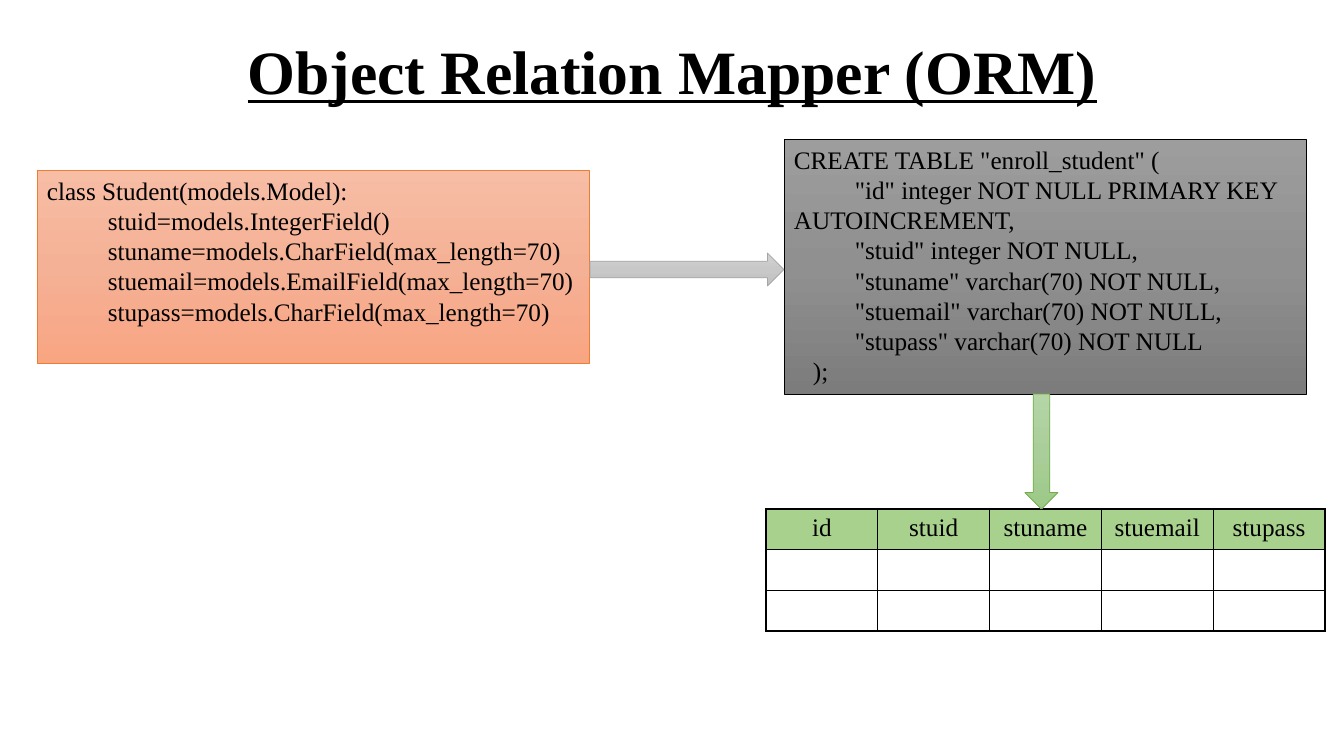
from copy import deepcopy

from lxml.etree import SubElement
from pptx import Presentation
from pptx.dml.color import RGBColor
from pptx.enum.shapes import MSO_SHAPE
from pptx.enum.text import MSO_ANCHOR, PP_ALIGN
from pptx.oxml.ns import qn
from pptx.util import Emu, Pt

EMU_PER_PIXEL = 914400 / 100.8
FONT = "Times New Roman"
BLACK = "000000"
HEADER_GREEN = "A9D18E"
CODE_INDENT = 61
CLOSING_INDENT = 19


def px(pixels):
    return Emu(round(pixels * EMU_PER_PIXEL))


def color(hex_string):
    return RGBColor.from_string(hex_string)


def add_text(paragraph, text, size=18, bold=None, underline=None):
    run = paragraph.add_run()
    run.text = text
    run.font.name = FONT
    run.font.size = Pt(size)
    run.font.bold = bold
    run.font.underline = underline
    run.font.color.rgb = color(BLACK)


def add_gradient_shape(slide, preset, box, gradient, line_color):
    shape = slide.shapes.add_shape(preset, *map(px, box))
    shape.shadow.inherit = False
    shape.line.color.rgb = color(line_color)
    shape.line.width = Pt(0.5)
    # The default gradient has two stops; a third goes between them
    shape.fill.gradient()
    shape.fill.gradient_angle = 270
    first_stop = next(shape._element.spPr.iter(qn("a:gs")))
    first_stop.addnext(deepcopy(first_stop))
    stops = shape.fill.gradient_stops
    for stop, position, stop_color in zip(stops, (0, 0.5, 1), gradient):
        stop.position = position
        stop.color.rgb = color(stop_color)
    return shape


def add_title(slide, box):
    title = slide.shapes.title
    title.left, title.top, title.width, title.height = map(px, box)
    frame = title.text_frame
    frame.vertical_anchor = MSO_ANCHOR.MIDDLE
    paragraph = frame.paragraphs[0]
    paragraph.alignment = PP_ALIGN.CENTER
    paragraph.line_spacing = 0.9
    add_text(paragraph, "Object Relation Mapper (ORM)", 44, True, True)


def add_code_box(slide, box, lines, gradient, line_color):
    """Each line is a pair: first-line indent in pixels, text."""
    shape = add_gradient_shape(slide, MSO_SHAPE.RECTANGLE, box, gradient, line_color)
    frame = shape.text_frame
    frame.word_wrap = True
    frame.vertical_anchor = MSO_ANCHOR.TOP
    for number, (indent, text) in enumerate(lines):
        paragraph = frame.paragraphs[0] if number == 0 else frame.add_paragraph()
        paragraph.alignment = PP_ALIGN.LEFT
        properties = paragraph._p.get_or_add_pPr()
        properties.set("marL", "0")
        properties.set("indent", str(px(indent)))
        add_text(paragraph, text)


def add_cell_borders(cell):
    properties = cell._tc.get_or_add_tcPr()
    for index, side in enumerate(("lnL", "lnR", "lnT", "lnB")):
        line = SubElement(properties, qn(f"a:{side}"), w=str(Pt(1)))
        fill = SubElement(line, qn("a:solidFill"))
        SubElement(fill, qn("a:srgbClr"), val=BLACK)
        properties.insert(index, line)


def add_student_table(slide, box, headers, row_count):
    left, top, width, height = box
    table = slide.shapes.add_table(row_count, len(headers), *map(px, box)).table
    for column in table.columns:
        column.width = px(width / len(headers))
    for row in table.rows:
        row.height = px(height / row_count)
    for cell in table.iter_cells():
        cell.fill.background()
        add_cell_borders(cell)
    for cell, header in zip(table.rows[0].cells, headers):
        cell.fill.solid()
        cell.fill.fore_color.rgb = color(HEADER_GREEN)
        paragraph = cell.text_frame.paragraphs[0]
        paragraph.alignment = PP_ALIGN.CENTER
        add_text(paragraph, header)


def build_orm_slide(presentation):
    slide = presentation.slides.add_slide(presentation.slide_layouts[5])
    add_title(slide, (93, 2, 1159, 146))

    # Model class
    fields = (
        "stuid=models.IntegerField()",
        "stuname=models.CharField(max_length=70)",
        "stuemail=models.EmailField(max_length=70)",
        "stupass=models.CharField(max_length=70)",
    )
    model_lines = [(0, "class Student(models.Model):")]
    model_lines += [(CODE_INDENT, field) for field in fields]
    add_code_box(slide, (37, 170, 552, 193), model_lines,
                 ("F7BDA5", "F5B196", "F8A582"), "ED7D31")

    # SQL statement
    columns = (
        '"id" integer NOT NULL PRIMARY KEY AUTOINCREMENT,',
        '"stuid" integer NOT NULL,',
        '"stuname" varchar(70) NOT NULL,',
        '"stuemail" varchar(70) NOT NULL,',
        '"stupass" varchar(70) NOT NULL',
    )
    sql_lines = [(0, 'CREATE TABLE "enroll_student" (')]
    sql_lines += [(CODE_INDENT, column) for column in columns]
    sql_lines.append((CLOSING_INDENT, ");"))
    add_code_box(slide, (784, 139, 522, 255), sql_lines,
                 ("9D9D9D", "909090", "7C7C7C"), BLACK)

    # Database table
    headers = ("id", "stuid", "stuname", "stuemail", "stupass")
    add_student_table(slide, (766, 509, 559, 121), headers, 3)

    # Arrows between the stages
    add_gradient_shape(slide, MSO_SHAPE.RIGHT_ARROW, (590, 253, 194, 33),
                       ("D2D2D2", "C8C8C8", "C0C0C0"), "A5A5A5")
    add_gradient_shape(slide, MSO_SHAPE.DOWN_ARROW, (1025, 394, 33, 115),
                       ("B5D5A7", "AACE9A", "9CC987"), "70AD47")


presentation = Presentation()
presentation.slide_width = px(1344)
presentation.slide_height = px(756)
build_orm_slide(presentation)
presentation.save("out.pptx")
